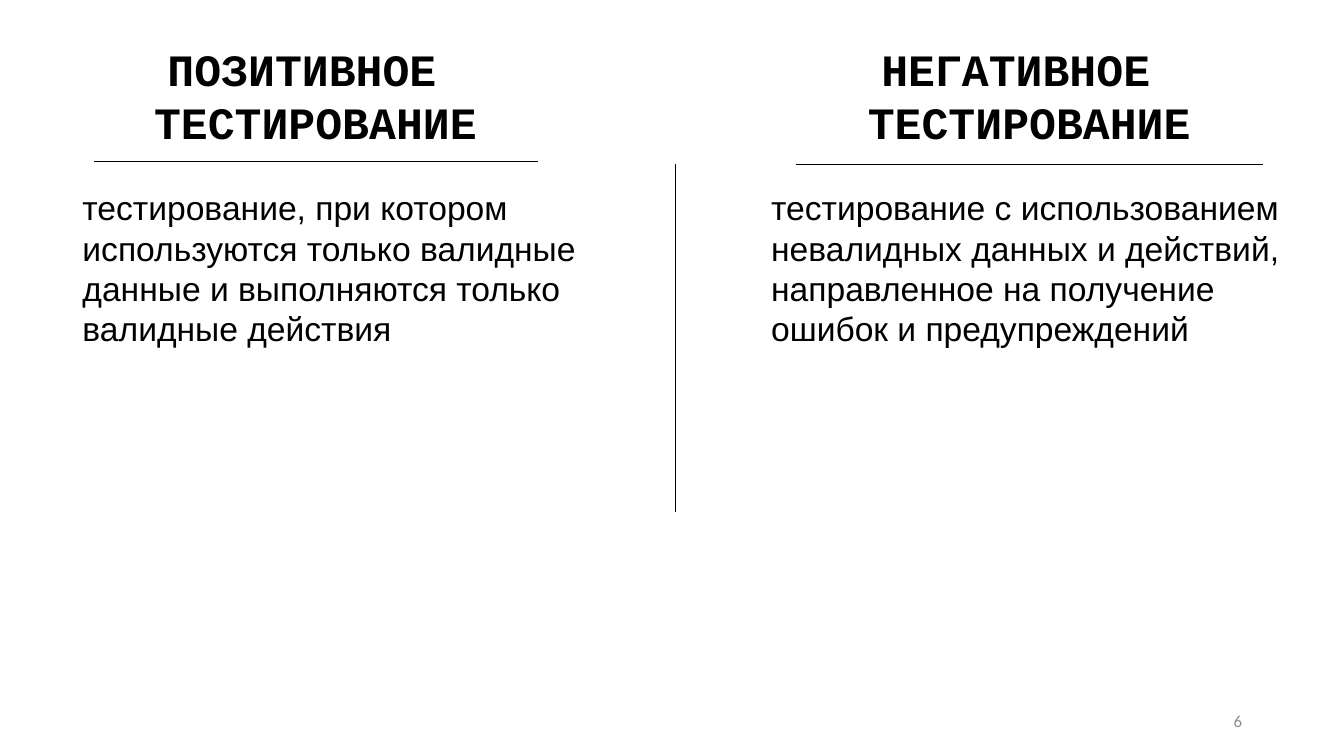
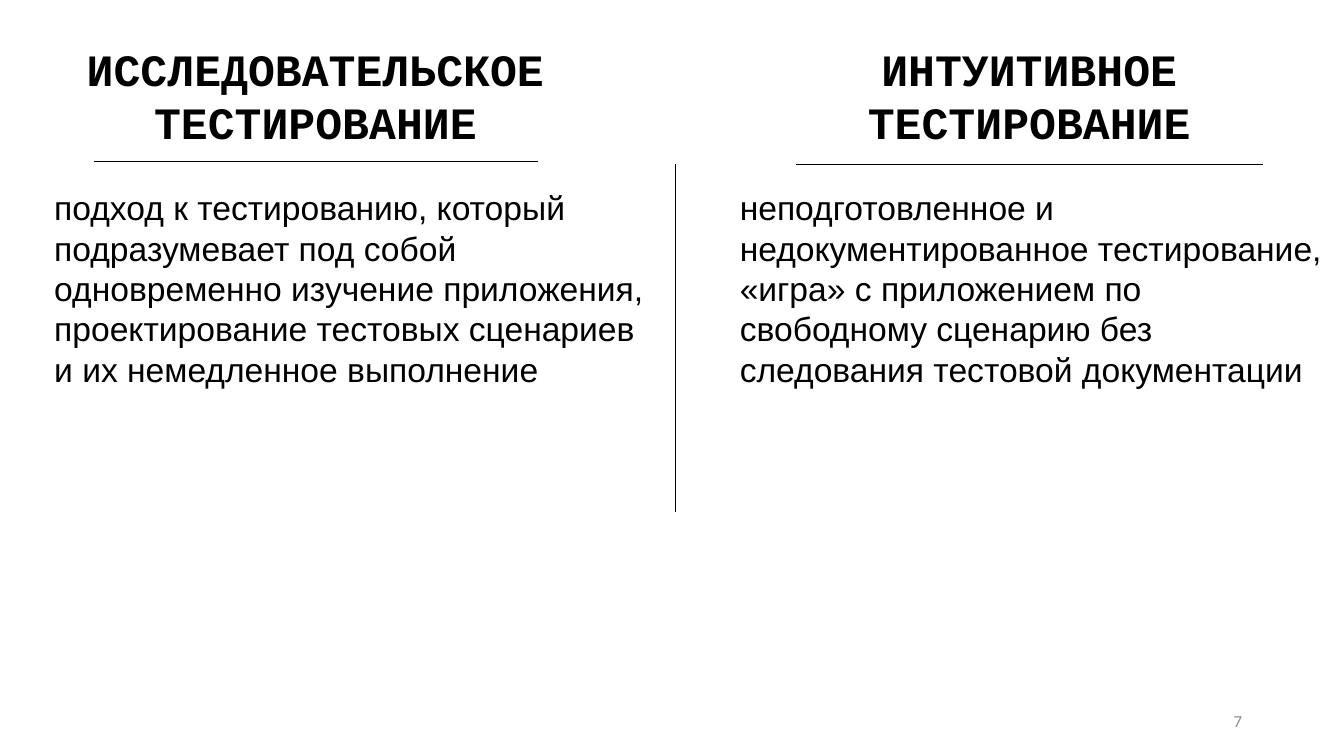
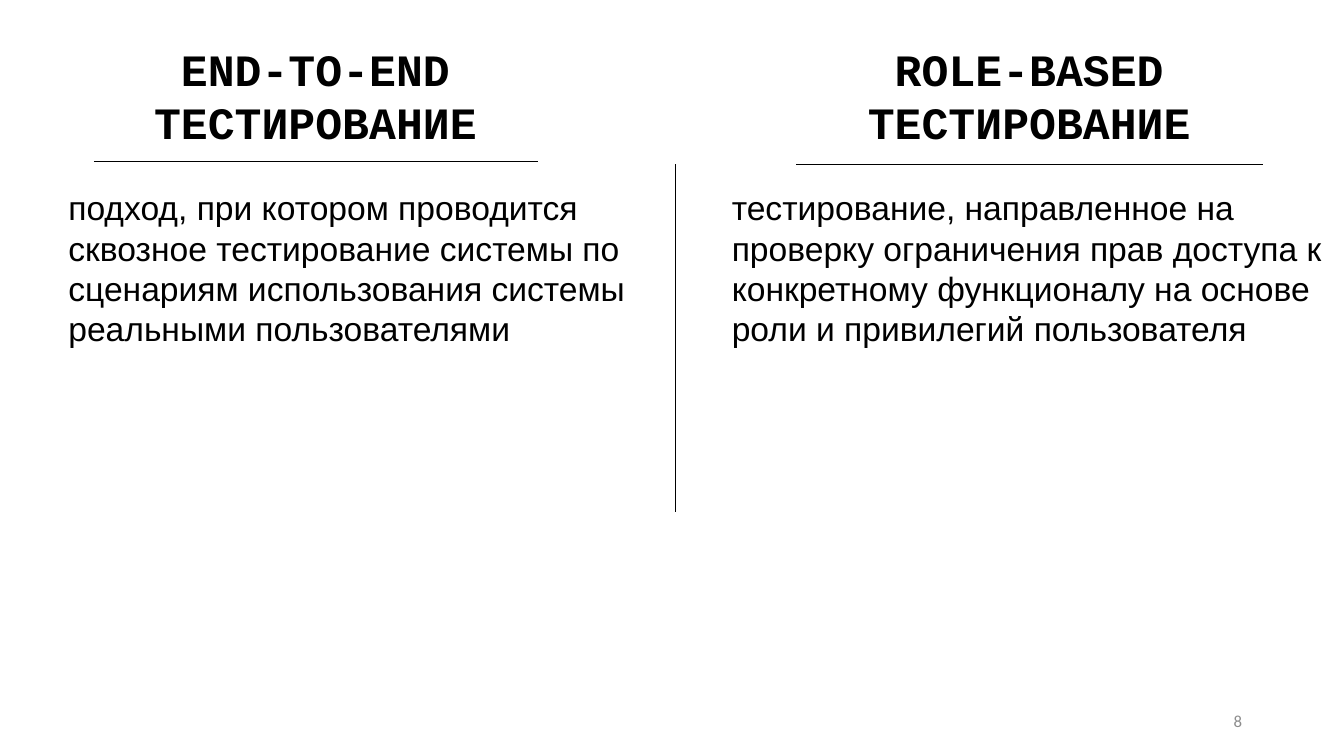
"""Build three slides that each compare two kinds of testing."""
from dataclasses import dataclass

from lxml.etree import SubElement
from pptx import Presentation
from pptx.dml.color import RGBColor
from pptx.enum.shapes import MSO_CONNECTOR as Connector
from pptx.enum.text import MSO_ANCHOR as Anchor, MSO_AUTO_SIZE as AutoSize, PP_ALIGN as Align
from pptx.oxml.ns import qn
from pptx.presentation import Presentation as Deck
from pptx.shapes.base import BaseShape
from pptx.slide import Slide
from pptx.util import Inches, Pt


@dataclass(frozen=True)
class Theme:
    """Colours, fonts, type sizes and line width of all slides."""
    ink: str = "000000"
    muted: str = "8C8C8C"
    heading_font: str = "Courier New"
    body_font: str = "Arial"
    number_font: str = "Calibri"
    heading_size: int = 32
    body_size: int = 24
    number_size: int = 12
    line_width: float = 0.5


@dataclass(frozen=True)
class Box:
    """A rectangle in percent of the slide's width and height."""
    left: float
    top: float
    width: float
    height: float


@dataclass(frozen=True)
class Line:
    """A straight line in percent of the slide's width and height."""
    start_x: float
    start_y: float
    end_x: float
    end_y: float


@dataclass(frozen=True)
class Panel:
    """One kind of testing: its name, definition and text column."""
    name: str
    definition: str
    left: float
    width: float
    lines: int


THEME = Theme()
WIDTH, HEIGHT = Inches(13.33), Inches(7.5)
SUBJECT = "ТЕСТИРОВАНИЕ"
FIRST_NUMBER = 6
HEADING_CENTRES = (23.48, 76.59)
HEADING_TOP, HEADING_HEIGHT = 4.8, 15.73
LETTER_WIDTH, SIDE_INSETS = 2.03, 1.5
BODY_TOP, LINE_HEIGHT, BODY_INSETS = 24.13, 5.33, 1.6
NUMBER_BOX = Box(70.67, 92.67, 22.5, 5.33)
RULES = (
    Line(6.98, 21.33, 40.06, 21.33),
    Line(59.26, 21.73, 94, 21.73),
    Line(50.26, 21.73, 50.26, 67.73),
)
COMPARISONS = (
    (
        Panel("ПОЗИТИВНОЕ ",
              "тестирование, при котором используются только валидные данные "
              "и выполняются только валидные действия", 5.4, 44.86, 4),
        Panel("НЕГАТИВНОЕ ",
              "тестирование с использованием невалидных данных и действий, "
              "направленное на получение ошибок и предупреждений", 56.64, 39.98, 4),
    ),
    (
        Panel("ИССЛЕДОВАТЕЛЬСКОЕ",
              "подход к тестированию, который подразумевает под собой одновременно "
              "изучение приложения, проектирование тестовых сценариев и их "
              "немедленное выполнение", 3.3, 45.91, 5),
        Panel("ИНТУИТИВНОЕ",
              "неподготовленное и недокументированное тестирование, «игра» с "
              "приложением по свободному сценарию без следования тестовой "
              "документации", 54.31, 45.69, 5),
    ),
    (
        Panel("END-TO-END",
              "подход, при котором проводится сквозное тестирование системы по "
              "сценариям использования системы реальными пользователями",
              4.35, 45.91, 4),
        Panel("ROLE-BASED",
              "тестирование, направленное на проверку ограничения прав доступа к "
              "конкретному функционалу на основе роли и привилегий пользователя",
              53.71, 45.84, 4),
    ),
)


def across(share: float) -> int:
    """Turn a percentage of the slide's width into a length."""
    return round(WIDTH * share / 100)


def down(share: float) -> int:
    """Turn a percentage of the slide's height into a length."""
    return round(HEIGHT * share / 100)


def add_box(slide: Slide, box: Box) -> BaseShape:
    """Add an empty text box."""
    return slide.shapes.add_textbox(across(box.left), down(box.top),
                                    across(box.width), down(box.height))


def write(shape: BaseShape, text: str, *, font: str, size: int, color: str = THEME.ink,
          bold: bool = False, align: Align = Align.LEFT, anchor: Anchor = Anchor.TOP,
          wrap: bool = True, fit: AutoSize = AutoSize.SHAPE_TO_FIT_TEXT) -> None:
    """Write formatted text into a shape, one paragraph per line."""
    frame = shape.text_frame
    frame.text = text
    frame.word_wrap = wrap
    frame.auto_size = fit
    frame.vertical_anchor = anchor
    for paragraph in frame.paragraphs:
        paragraph.alignment = align
        for run in paragraph.runs:
            run.font.name = font
            run.font.size = Pt(size)
            run.font.bold = bold
            run.font.color.rgb = RGBColor.from_string(color)


def add_heading(slide: Slide, panel: Panel, centre: float, is_title: bool) -> None:
    """Add a centred two-line heading, as the slide's title if asked."""
    width = LETTER_WIDTH * max(len(panel.name), len(SUBJECT)) + SIDE_INSETS
    box = Box(centre - width / 2, HEADING_TOP, width, HEADING_HEIGHT)
    if is_title:
        shape = slide.shapes.title
        shape.left, shape.top = across(box.left), down(box.top)
        shape.width, shape.height = across(box.width), down(box.height)
    else:
        shape = add_box(slide, box)
    write(shape, f"{panel.name}\n{SUBJECT}", font=THEME.heading_font,
          size=THEME.heading_size, bold=True, align=Align.CENTER, wrap=False)


def add_definition(slide: Slide, panel: Panel) -> None:
    """Add the definition under a heading."""
    height = LINE_HEIGHT * panel.lines + BODY_INSETS
    shape = add_box(slide, Box(panel.left, BODY_TOP, panel.width, height))
    write(shape, panel.definition, font=THEME.body_font, size=THEME.body_size)


def add_rule(slide: Slide, line: Line) -> None:
    """Add a thin line without a shadow."""
    connector = slide.shapes.add_connector(
        Connector.STRAIGHT, across(line.start_x), down(line.start_y),
        across(line.end_x), down(line.end_y))
    connector.line.color.rgb = RGBColor.from_string(THEME.ink)
    connector.line.width = Pt(THEME.line_width)
    SubElement(connector._element.spPr, qn("a:effectLst"))


def add_comparison(presentation: Deck, panels: tuple[Panel, Panel], number: int) -> None:
    """Add one slide with two panels, the rules and the slide number."""
    slide = presentation.slides.add_slide(presentation.slide_layouts.get_by_name("Title Only"))
    for index, (panel, centre) in enumerate(zip(panels, HEADING_CENTRES)):
        add_heading(slide, panel, centre, is_title=index == 0)
        add_definition(slide, panel)
    for line in RULES:
        add_rule(slide, line)
    write(add_box(slide, NUMBER_BOX), str(number), font=THEME.number_font,
          size=THEME.number_size, color=THEME.muted, align=Align.RIGHT,
          anchor=Anchor.MIDDLE, fit=AutoSize.NONE)


def main() -> None:
    """Build and save the presentation."""
    presentation = Presentation()
    presentation.slide_width, presentation.slide_height = WIDTH, HEIGHT
    for number, panels in enumerate(COMPARISONS, FIRST_NUMBER):
        add_comparison(presentation, panels, number)
    presentation.save("out.pptx")


if __name__ == "__main__":
    main()
